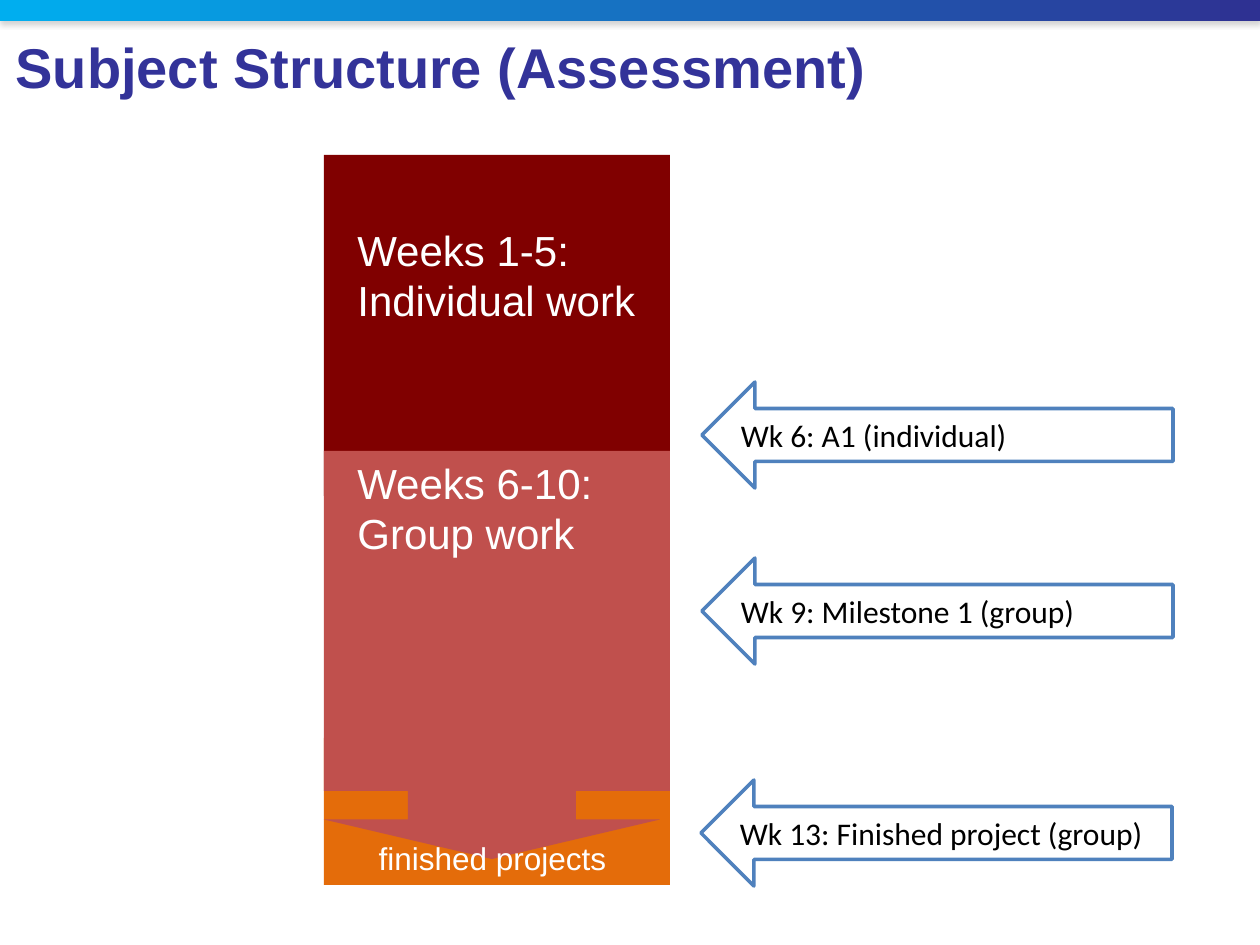
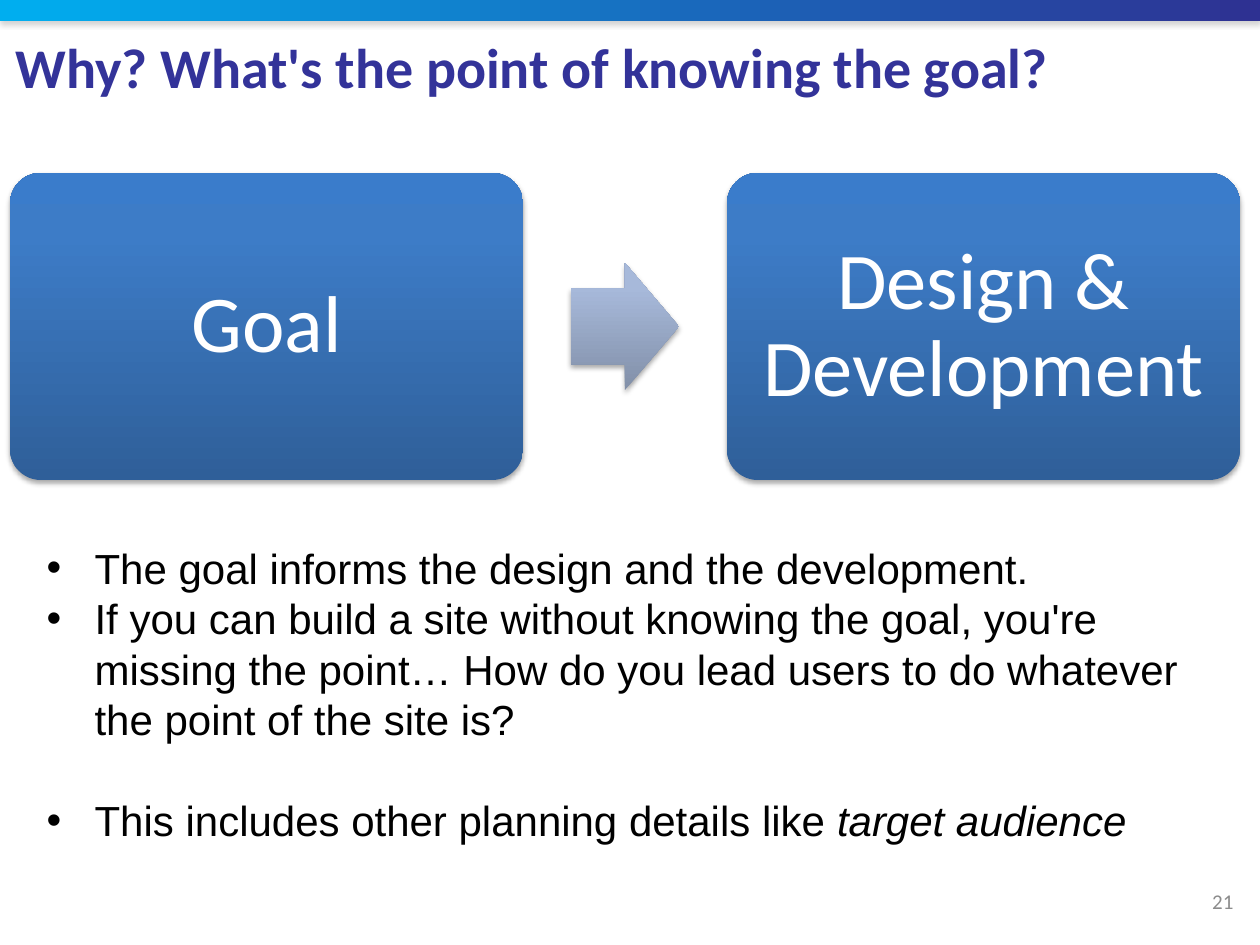
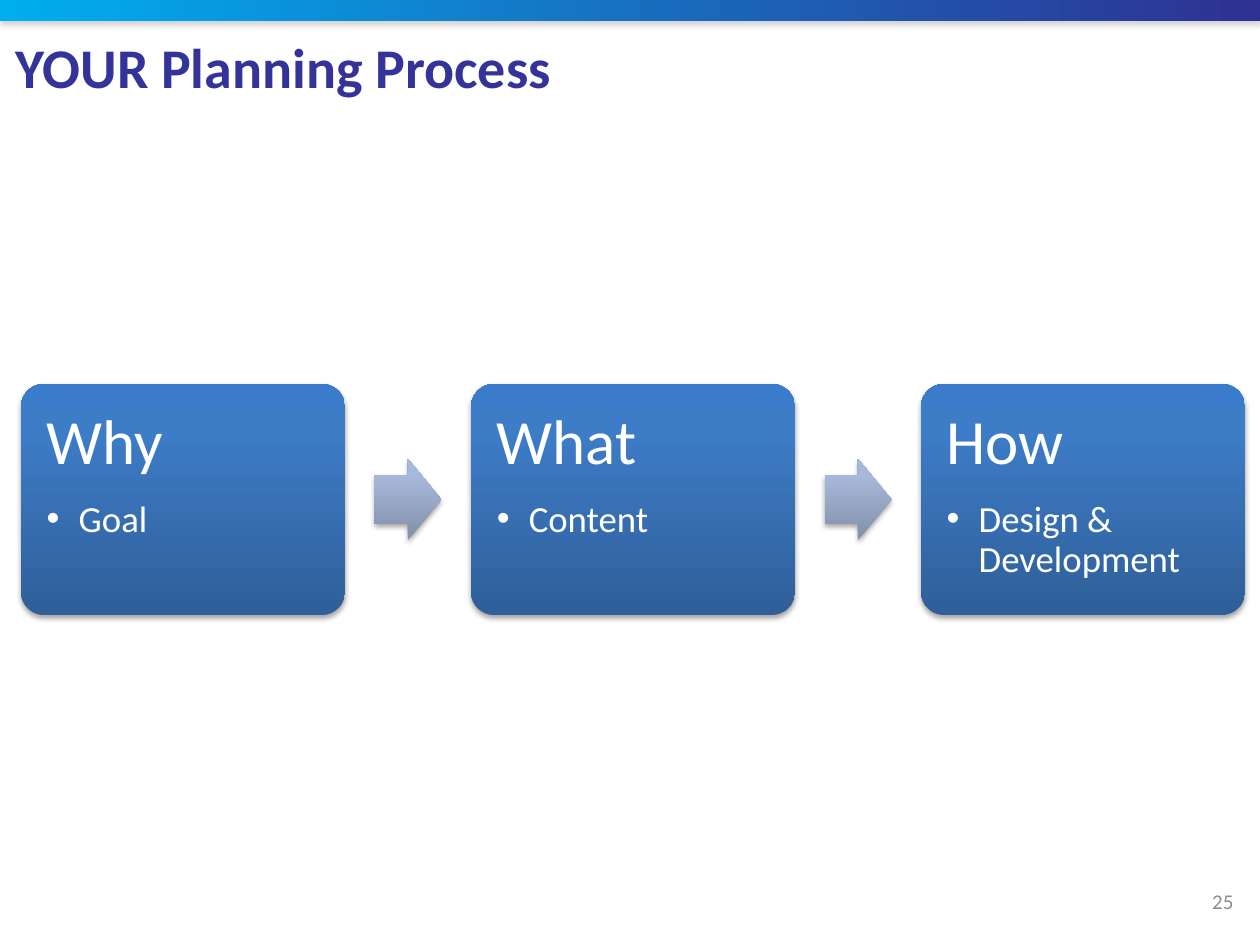
"""Builds three teaching slides on assessment structure and planning."""
from lxml import etree
from pptx import Presentation
from pptx.dml.color import RGBColor
from pptx.enum.shapes import MSO_SHAPE
from pptx.enum.text import MSO_ANCHOR, MSO_AUTO_SIZE, PP_ALIGN
from pptx.oxml.ns import qn
from pptx.util import Pt

RECT, CARD = MSO_SHAPE.RECTANGLE, MSO_SHAPE.ROUNDED_RECTANGLE
LEFT_ARROW, RIGHT_ARROW, DOWN_ARROW = MSO_SHAPE.LEFT_ARROW, MSO_SHAPE.RIGHT_ARROW, MSO_SHAPE.DOWN_ARROW
LEFT, CENTER, RIGHT = PP_ALIGN.LEFT, PP_ALIGN.CENTER, PP_ALIGN.RIGHT
TOP, MIDDLE = MSO_ANCHOR.TOP, MSO_ANCHOR.MIDDLE
FIXED = MSO_AUTO_SIZE.NONE
TITLE_AND_BODY, TITLE_ONLY = 1, 5
PX = 914400 / 126

WHITE, BLACK, GREY = "FFFFFF", "000000", "8C8C8C"
TITLE_BLUE, OUTLINE_BLUE = "333399", "4F81BD"
DARK_RED, RED, ORANGE = "800000", "C0504D", "E46C0A"
BAND_STOPS = [(0, "00AEEF"), (100, "2E3192")]
CARD_STOPS = [(0, "2F5F99"), (80, "3D7CC7"), (100, "3A7CCB")]
ARROW_STOPS = [(0, "818FA8"), (80, "A7B9DA"), (100, "A7BADC")]

ASSESSMENT_TITLE = "Subject Structure (Assessment)"
PHASES = [
    (RECT, (324, 155, 346, 341), DARK_RED),
    (RECT, (324, 738, 346, 147), ORANGE),
    (RECT, (324, 451, 346, 340), RED),
    (DOWN_ARROW, (324, 780, 336, 79), RED),
]
PHASE_LABELS = [
    ("Weeks 1-5: Individual work", (345, 218, 305, 115), 24, LEFT),
    ("Weeks 6-10: Group work", (345, 451, 305, 115), 24, LEFT),
    ("finished projects", (340, 833, 305, 50), 18, CENTER),
]
DEADLINES = [
    ("Wk 6: A1 (individual)", 702, 382),
    ("Wk 9: Milestone 1 (group)", 702, 558),
    ("Wk 13: Finished project (group)", 701, 780),
]

GOAL_TITLE = "Why? What's the point of knowing the goal?"
GOAL_STEPS = [("Goal", None), ("Design & Development", None)]
GOAL_FLOW = dict(origin=(10, 173), card=(513, 307), pitch=717, arrow=(108, 127), inset=24)
GOAL_POINTS = [
    (["The goal informs the design and the development."], 0),
    (["If you can build a site without knowing the goal, you're missing the point… "
      "How do you lead users to do whatever the point of the site is?"], 0),
    (["This includes other planning details like ", "target audience"], 29),
]

PROCESS_TITLE = "YOUR Planning Process"
PROCESS_STEPS = [("Why", "Goal"), ("What", "Content"), ("How", "Design & Development")]
PROCESS_FLOW = dict(origin=(21, 384), card=(324, 231), pitch=450, arrow=(67, 81), inset=19)


def px(length):
    return round(length * PX)


def rgb(value):
    return RGBColor.from_string(value)


def assign(target, **values):
    for key, value in values.items():
        setattr(target, key, value)


def place(shape, box):
    assign(shape, **dict(zip(("left", "top", "width", "height"), map(px, box))))


def style_font(font, size, name, color, **extra):
    assign(font, size=Pt(size), name=name, **extra)
    font.color.rgb = rgb(color)


def set_frame(shape, anchor=TOP, inset=None):
    frame = shape.text_frame
    assign(frame, word_wrap=True, auto_size=FIXED, vertical_anchor=anchor)
    if inset is not None:
        sides = ("margin_left", "margin_top", "margin_right", "margin_bottom")
        assign(frame, **dict.fromkeys(sides, px(inset)))
    return frame


def write(paragraph, text, size, name, color, align=LEFT, **spacing):
    run = paragraph.add_run()
    run.text = text
    style_font(run.font, size, name, color)
    assign(paragraph, alignment=align, **spacing)


def add_bullet(paragraph, indent):
    properties = paragraph._p.get_or_add_pPr()
    properties.set("marL", str(px(indent)))
    properties.set("indent", str(-px(indent)))
    etree.SubElement(properties, qn("a:buFont"), typeface="Arial")
    etree.SubElement(properties, qn("a:buChar"), char="•")


def add_label(slide, text, box, size, name, color, align, anchor=TOP):
    label = slide.shapes.add_textbox(*map(px, box))
    write(set_frame(label, anchor).paragraphs[0], text, size, name, color, align)


def add_block(slide, kind, box, color, outline=None):
    block = slide.shapes.add_shape(kind, *map(px, box))
    block.shadow.inherit = False
    block.fill.solid()
    block.fill.fore_color.rgb = rgb(color)
    if outline:
        block.line.color.rgb = rgb(outline)
        block.line.width = Pt(2)
    else:
        block.line.fill.background()
    return block


def add_glossy(slide, kind, box, stops, angle=90, shadow=BLACK, adjustments=()):
    glossy = add_block(slide, kind, box, WHITE)
    for index, value in enumerate(adjustments):
        glossy.adjustments[index] = value
    glossy.fill.gradient()
    glossy.fill.gradient_angle = angle
    properties = glossy.element.spPr
    stop_list = properties.find(".//" + qn("a:gsLst"))
    for stop in list(stop_list):
        stop_list.remove(stop)
    for position, color in stops:
        stop = etree.SubElement(stop_list, qn("a:gs"), pos=str(position * 1000))
        etree.SubElement(stop, qn("a:srgbClr"), val=color)
    outer = etree.SubElement(properties.find(qn("a:effectLst")), qn("a:outerShdw"),
                             blurRad=str(Pt(3.1)), dist=str(Pt(1.8)), dir="5400000", rotWithShape="0")
    tint = etree.SubElement(outer, qn("a:srgbClr"), val=shadow)
    etree.SubElement(tint, qn("a:alpha"), val="35000")
    return glossy


def add_slide(prs, layout, title, font="Calibri", number=None):
    slide = prs.slides.add_slide(prs.slide_layouts[layout])
    heading = slide.shapes.title
    place(heading, (3, 26, 1182, 68))
    write(set_frame(heading).paragraphs[0], title, 32, font, TITLE_BLUE)
    heading.text_frame.paragraphs[0].runs[0].font.bold = True
    if number:
        add_label(slide, number, (903, 876, 343, 50), 12, "Calibri", GREY, RIGHT, MIDDLE)
    return slide


def add_master_band(prs, slide):
    band = add_glossy(slide, RECT, (0, 0, 1260, 21), BAND_STOPS, angle=0, shadow="808080")
    prs.slide_master.shapes.element.insert(2, band.element)


def add_flow(slide, steps, origin, card, pitch, arrow, inset):
    left, top = origin
    width, height = card
    arrow_width, arrow_height = arrow
    arrow_top = top + (height - arrow_height) / 2
    for index, (heading, detail) in enumerate(steps):
        x = left + index * pitch
        if index:
            arrow_left = x - (pitch - width + arrow_width) / 2
            add_glossy(slide, RIGHT_ARROW, (arrow_left, arrow_top, *arrow), ARROW_STOPS, adjustments=(0.6, 0.5))
        step = add_glossy(slide, CARD, (x, top, *card), CARD_STOPS, adjustments=(0.1,))
        frame = set_frame(step, TOP if detail else MIDDLE, inset)
        first = frame.paragraphs[0]
        if detail:
            write(first, heading, 36, "Calibri", WHITE, line_spacing=0.9, space_after=Pt(13))
            item = frame.add_paragraph()
            add_bullet(item, 32)
            write(item, detail, 21, "Calibri", WHITE, line_spacing=0.9)
        else:
            write(first, heading, 46, "Calibri", WHITE, CENTER, line_spacing=0.9)


def build_assessment(prs):
    slide = add_slide(prs, TITLE_ONLY, ASSESSMENT_TITLE, "Arial")
    add_master_band(prs, slide)
    for kind, box, color in PHASES:
        add_block(slide, kind, box, color)
    for text, box, size, align in PHASE_LABELS:
        add_label(slide, text, box, size, "Arial", WHITE, align)
    for text, left, top in DEADLINES:
        deadline = add_block(slide, LEFT_ARROW, (left, top, 471, 106), WHITE, OUTLINE_BLUE)
        write(set_frame(deadline, MIDDLE).paragraphs[0], text, 18, "Calibri", BLACK)


def build_goal(prs):
    slide = add_slide(prs, TITLE_AND_BODY, GOAL_TITLE, number="21")
    add_flow(slide, GOAL_STEPS, **GOAL_FLOW)
    body = slide.placeholders[1]
    place(body, (34, 536, 1191, 318))
    frame = set_frame(body)
    for index, (parts, gap) in enumerate(GOAL_POINTS):
        point = frame.add_paragraph() if index else frame.paragraphs[0]
        add_bullet(point, 48)
        for part in parts:
            write(point, part, 24, "Arial", BLACK, space_before=Pt(gap))
    point.runs[-1].font.italic = True


def build_process(prs):
    slide = add_slide(prs, TITLE_ONLY, PROCESS_TITLE, number="25")
    add_flow(slide, PROCESS_STEPS, **PROCESS_FLOW)


def main():
    prs = Presentation()
    assign(prs, slide_width=px(1260), slide_height=px(945))
    build_assessment(prs)
    build_goal(prs)
    build_process(prs)
    prs.save("out.pptx")


if __name__ == "__main__":
    main()
